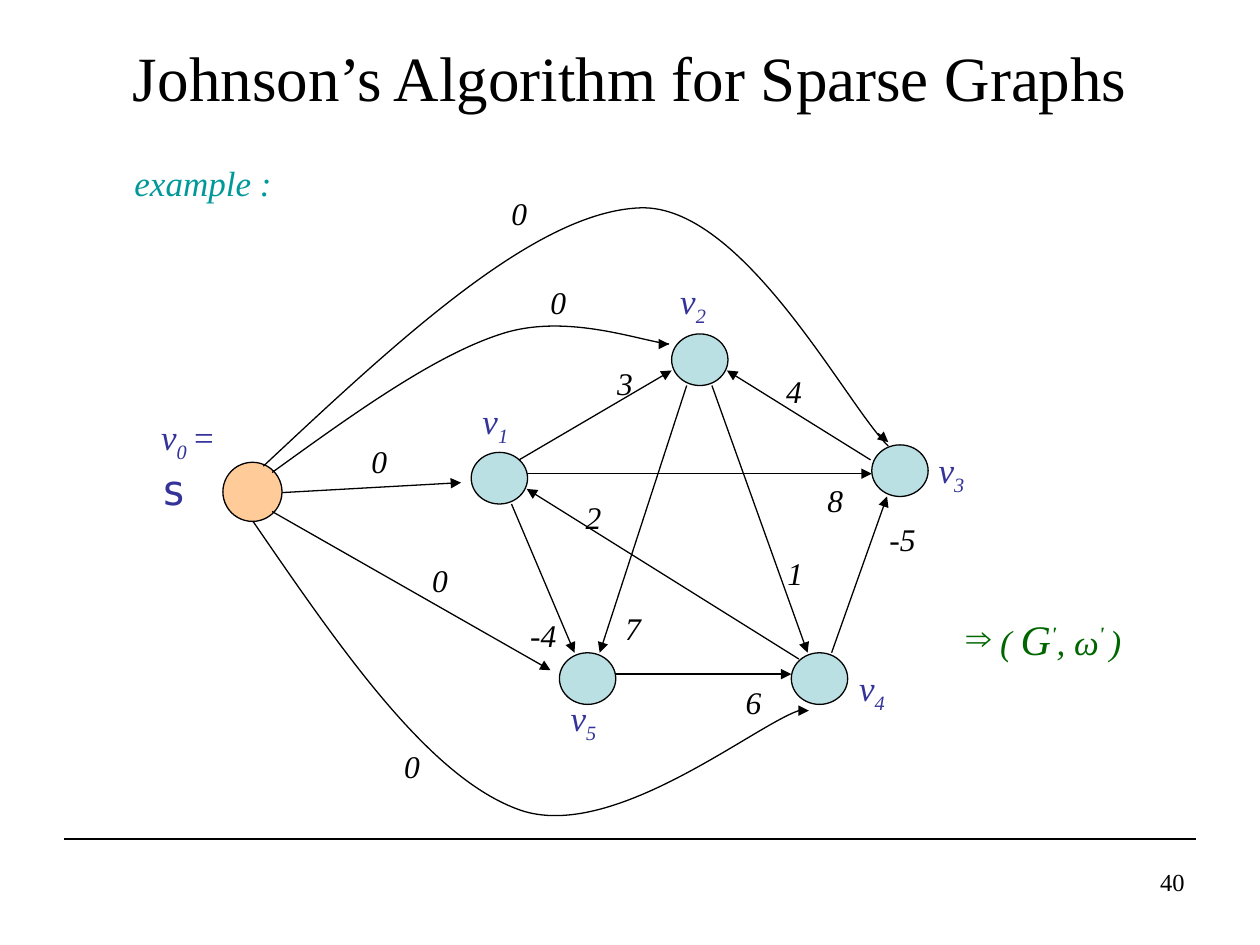
from lxml import etree
from pptx import Presentation
from pptx.dml.color import RGBColor
from pptx.enum.shapes import MSO_CONNECTOR, MSO_SHAPE
from pptx.enum.text import MSO_ANCHOR, PP_ALIGN
from pptx.oxml.ns import qn
from pptx.util import Pt

OVAL = MSO_SHAPE.OVAL
STRAIGHT = MSO_CONNECTOR.STRAIGHT
MIDDLE = MSO_ANCHOR.MIDDLE
LEFT, CENTER, RIGHT = PP_ALIGN.LEFT, PP_ALIGN.CENTER, PP_ALIGN.RIGHT

SERIF, MONO = "Times New Roman", "DejaVu Sans Mono"
COLORS = {
    "ink": "000000",
    "vertex": "BBE0E3",
    "source": "FFCC99",
    "name": "333399",
    "example": "009999",
    "result": "006600",
}

VERTICES = [(269.3, 258.5), (383.8, 190.8), (498.2, 254.2), (452.2, 373), (319.7, 373)]
VERTEX_NAMES = [(268.6, 224.6), (381.6, 156.2), (529.2, 252.7), (483.8, 377.3), (319, 394.6)]
ARROWS = [
    (296.6, 262.8, 383.8, 211.7),
    (497.5, 262.8, 415.4, 211.7),
    (475.2, 373, 506.9, 283.7),
    (351.4, 385.2, 452.2, 385.2),
    (292.3, 288, 328.3, 373),
    (392.4, 220.3, 342.7, 373),
    (406.8, 220.3, 461.5, 373),
    (456.5, 376.6, 301, 279.4),
    (301, 270.7, 498.2, 270.7),
    (161.3, 281.5, 263.5, 275.8),
    (155.5, 292.3, 314.6, 383),
    (501.8, 247.7, 507.6, 252.7),
    (377.3, 196.6, 382.3, 196.6),
    (456.5, 406.1, 462.2, 406.1),
]
CURVES = [
    [(150.5, 266.4), (228.2, 193.7), (306, 121), (365.8, 118.8),
     (424.8, 116.6), (483.8, 231.8), (507.6, 254.9)],
    [(155.5, 270), (202.3, 236.2), (248.4, 203), (286.6, 190.8),
     (324, 178.6), (366.5, 195.1), (382.3, 196.6)],
    [(144.7, 298.1), (195.1, 371.5), (245.5, 445), (297.4, 463),
     (349.9, 481), (429.8, 415.4), (456.5, 406.1)],
]
WEIGHTS = [
    ("2", 327.6, 280.8), ("1", 442.8, 313.2), ("4", 442.1, 208.8), ("3", 345.6, 204.5),
    ("8", 465.8, 271.4), ("-5", 501.1, 293.8), ("-4", 295.9, 348.5), ("6", 419, 386.6),
    ("7", 350.1, 344.2), ("0", 285.1, 107.3), ("0", 307.4, 158.4), ("0", 223.9, 423.4),
    ("0", 205.2, 249.1), ("0", 239.8, 316.8),
]


def rgb(name):
    return RGBColor.from_string(COLORS[name])


def outline(shape):
    shape.line.color.rgb = rgb("ink")
    shape.line.width = Pt(0.75)


def add_span(para, text, size=20, color="ink", font=SERIF, italic=True, bold=False, base=0):
    span = para.add_run()
    span.text = text
    span.font.name = font
    span.font.size = Pt(size)
    span.font.italic = italic
    span.font.bold = bold
    span.font.color.rgb = rgb(color)
    if base:
        span.font._element.set("baseline", str(base * 1000))


def add_label(page, left, top, width, height, spans, wrap=False, align=LEFT, **style):
    box = page.shapes.add_textbox(Pt(left), Pt(top), Pt(width), Pt(height))
    box.text_frame.word_wrap = wrap
    para = box.text_frame.paragraphs[0]
    para.alignment = align
    for text, change in spans:
        add_span(para, text, **{**style, **change})
    return para


def add_bullet(para, symbol, color):
    properties = para._p.get_or_add_pPr()
    fill = etree.SubElement(properties, qn("a:buClr"))
    etree.SubElement(fill, qn("a:srgbClr"), val=COLORS[color])
    etree.SubElement(properties, qn("a:buFont"), typeface=SERIF)
    etree.SubElement(properties, qn("a:buChar"), char=symbol)


def add_node(page, left, top, width, height, color):
    node = page.shapes.add_shape(OVAL, Pt(left), Pt(top), Pt(width), Pt(height))
    node.shadow.inherit = False
    node.fill.solid()
    node.fill.fore_color.rgb = rgb(color)
    outline(node)


def add_line(page, ends, arrow=True):
    line = page.shapes.add_connector(STRAIGHT, *map(Pt, ends))
    outline(line)
    etree.SubElement(line._element.spPr, qn("a:effectLst"))
    if arrow:
        etree.SubElement(line.line._get_or_add_ln(), qn("a:tailEnd"), type="triangle")


def add_curve(page, points):
    start, *rest = [(Pt(x), Pt(y)) for x, y in points]
    builder = page.shapes.build_freeform(*start, scale=1.0)
    builder.add_line_segments(rest, close=False)
    curve = builder.convert_to_shape()
    curve.shadow.inherit = False
    curve.fill.background()
    outline(curve)
    segments = list(curve._element.iter(qn("a:lnTo")))
    outline_path = segments[0].getparent()
    for first in range(0, len(segments), 3):
        bezier = etree.SubElement(outline_path, qn("a:cubicBezTo"))
        for segment in segments[first:first + 3]:
            bezier.append(segment[0])
            outline_path.remove(segment)


def add_title(page, text):
    title = page.shapes.title
    title.left, title.top, title.width, title.height = Pt(36), Pt(21.6), Pt(648), Pt(43.9)
    title.text_frame.vertical_anchor = MIDDLE
    para = title.text_frame.paragraphs[0]
    para.alignment = CENTER
    add_span(para, text, size=36, italic=False)


def main():
    deck = Presentation()
    deck.slide_width, deck.slide_height = Pt(720), Pt(540)
    page = deck.slides.add_slide(deck.slide_layouts[5])

    add_line(page, (36.7, 479.5, 683.3, 479.5), arrow=False)
    add_title(page, "Johnson’s Algorithm for Sparse Graphs")
    add_label(page, 69.8, 88.6, 100, 31.7, [("example :", {})], color="example")

    for left, top in VERTICES:
        add_node(page, left, top, 32.2, 29.5, "vertex")
    add_node(page, 127.4, 264.2, 33.8, 33.8, "source")
    for ends in ARROWS:
        add_line(page, ends)
    for points in CURVES:
        add_curve(page, points)

    for text, left, top in WEIGHTS:
        add_label(page, left, top, 16 + 9 * len(text), 28.8, [(text, {})], size=18)
    for number, (left, top) in enumerate(VERTEX_NAMES, 1):
        add_label(page, left, top, 34, 34.6,
                  [("v", {}), (str(number), {"base": -25})], color="name")
    add_label(page, 85, 234, 61, 38.9,
              [("v", {}), ("0 ", {"base": -25}), ("= ", {}),
               ("s", {"size": 24, "font": MONO, "italic": False})],
              wrap=True, color="name")

    prime = {"bold": True, "base": 40}
    result = add_label(page, 545, 347, 120, 36,
                       [(" ( ", {}), ("G", {"size": 24}), ("'", prime),
                        (", ω", {}), ("' ", prime), (")", {})], color="result")
    add_bullet(result, "⇒", "result")
    add_label(page, 516.2, 491.8, 167.8, 37.4, [("40", {})],
              wrap=True, align=RIGHT, size=14, italic=False)
    deck.save("out.pptx")


if __name__ == "__main__":
    main()
